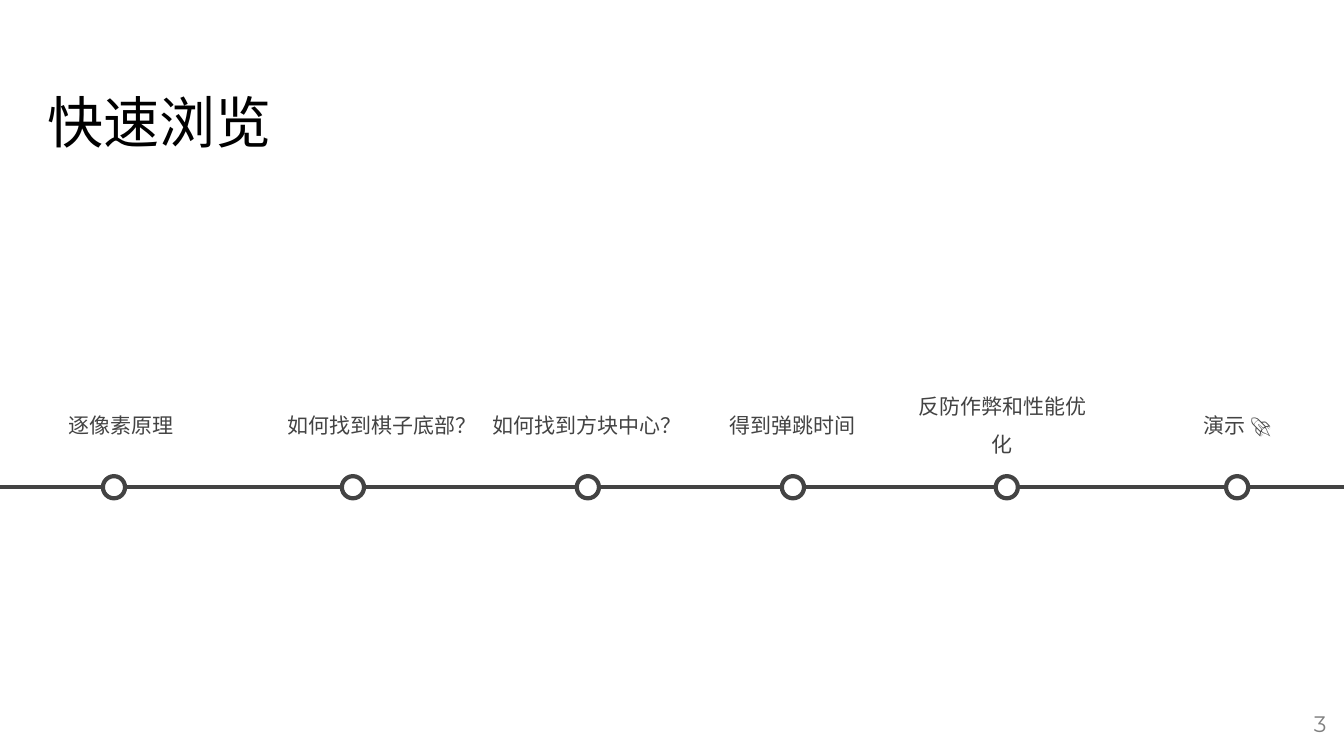
"""Build a quick-overview slide: a title above a six-stop timeline."""
from lxml.etree import SubElement
from pptx import Presentation
from pptx.dml.color import RGBColor
from pptx.enum.shapes import MSO_CONNECTOR, MSO_SHAPE
from pptx.enum.text import MSO_ANCHOR, PP_ALIGN
from pptx.oxml.ns import qn
from pptx.util import Inches, Pt

WIDTH, HEIGHT = Inches(26.66), Inches(15)
COLUMN, ROW = WIDTH / 100, HEIGHT / 100
FONT = "Montserrat"
BLACK = RGBColor(0x00, 0x00, 0x00)
CHARCOAL = RGBColor(0x43, 0x43, 0x43)
GRAY = RGBColor(0x7F, 0x7F, 0x7F)
WHITE = RGBColor(0xFF, 0xFF, 0xFF)

AXIS_ROW = 64.45
LABEL_ROW, LABEL_ROWS = 52, 6.8
DOT_SIZE = Inches(0.44)
STROKE = Pt(6)

# Each stop: label, label's first column, label's columns, dot's centre column
STOPS = [
    ("逐像素原理", 0.49, 17.03, 8.48),
    ("如何找到棋子底部？", 20.82, 15.19, 26.26),
    (" 如何找到方块中心？", 35, 17.03, 43.74),
    ("得到弹跳时间", 51.69, 14.48, 59),
    ("反防作弊和性能优化", 67.33, 14.48, 74.91),
    ("演示 🚀", 84.85, 14.48, 92.05),
]


def columns(count):
    """Return the length of a number of grid columns."""
    return round(count * COLUMN)


def rows(count):
    """Return the length of a number of grid rows."""
    return round(count * ROW)


def add_text(page, text, place, size, color, insets=(0.1, 0.1),
             align=PP_ALIGN.LEFT, anchor=MSO_ANCHOR.TOP, spacing=None):
    """Add a wrapped text box; place is column, row, columns, rows."""
    left, top, across, down = place
    box = page.shapes.add_textbox(columns(left), rows(top), columns(across), rows(down))
    frame = box.text_frame
    frame.word_wrap = True
    frame.vertical_anchor = anchor
    frame.margin_left = frame.margin_right = Inches(insets[0])
    frame.margin_top = frame.margin_bottom = Inches(insets[1])
    para = frame.paragraphs[0]
    para.text = text
    para.alignment = align
    para.line_spacing = spacing
    para.font.name = FONT
    para.font.size = Pt(size)
    para.font.color.rgb = color


def add_axis(page):
    """Draw the timeline across the whole slide."""
    axis = page.shapes.add_connector(
        MSO_CONNECTOR.STRAIGHT, 0, rows(AXIS_ROW), WIDTH, rows(AXIS_ROW))
    axis.line.color.rgb = CHARCOAL
    axis.line.width = STROKE
    SubElement(axis._element.spPr, qn("a:effectLst"))


def add_dot(page, center):
    """Draw a ring on the timeline at the given column."""
    dot = page.shapes.add_shape(
        MSO_SHAPE.OVAL, columns(center) - DOT_SIZE // 2,
        rows(AXIS_ROW) - DOT_SIZE // 2, DOT_SIZE, DOT_SIZE)
    dot.shadow.inherit = False
    dot.fill.solid()
    dot.fill.fore_color.rgb = WHITE
    dot.line.color.rgb = CHARCOAL
    dot.line.width = STROKE


def add_stop(page, label, left, across, center):
    """Add one timeline stop with its label."""
    add_dot(page, center)
    add_text(page, label, (left, LABEL_ROW, across, LABEL_ROWS), 30, CHARCOAL,
             align=PP_ALIGN.CENTER, anchor=MSO_ANCHOR.MIDDLE, spacing=1.5)


def main():
    """Build the slide and save the deck."""
    deck = Presentation()
    deck.slide_width, deck.slide_height = WIDTH, HEIGHT
    page = deck.slides.add_slide(deck.slide_layouts[6])
    page.background.fill.solid()
    page.background.fill.fore_color.rgb = WHITE
    add_text(page, "快速浏览", (3.19, 11.2, 72.51, 16.13), 80, BLACK, insets=(0.1, 0.05))
    add_text(page, "3", (93.59, 92.33, 6, 7.67), 32, GRAY, insets=(0.24, 0.24),
             align=PP_ALIGN.RIGHT)
    add_axis(page)
    for stop in STOPS:
        add_stop(page, *stop)
    deck.save("out.pptx")


if __name__ == "__main__":
    main()
